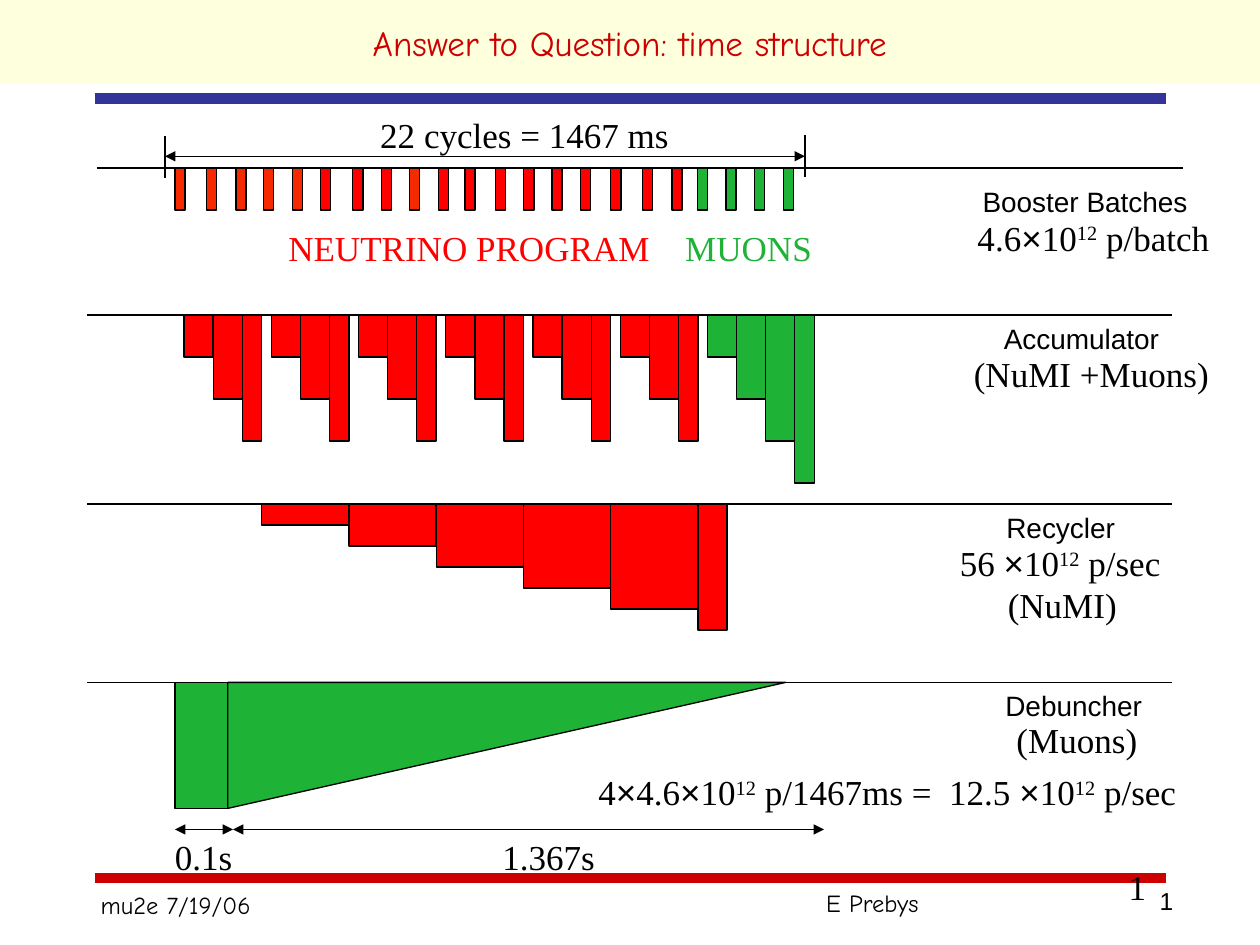
import pptx
import pptx.util
import pptx.dml.color
import pptx.enum.shapes
import pptx.enum.text
import pptx.oxml.ns
from lxml import etree

Pt = pptx.util.Pt
SHAPE = pptx.enum.shapes.MSO_SHAPE
ALIGN = pptx.enum.text.PP_ALIGN
ANCHOR = pptx.enum.text.MSO_ANCHOR
AUTO = pptx.enum.text.MSO_AUTO_SIZE

COLORS = {"black": "000000", "title": "CC0000", "band": "FEFFDD", "blue": "333399",
          "orange": "F52A01", "red": "FF0000", "green": "1EB237"}
COMIC, SERIF, SANS = "Comic Neue", "Times New Roman", "Arial"

TITLE = "Answer to Question: time structure"

# Text, left, top, width, height, size, font, colour; ^ encloses a superscript
LABELS = [
    ("mu2e 7/19/06", 50.4, 505, 100, 24.5, 14, COMIC, "black"),
    ("E Prebys", 465, 504, 199.4, 24.5, 14, COMIC, "black"),
    ("1", 637.9, 491, 98, 31.7, 20, SERIF, "black"),
    ("Booster Batches", 554.4, 102.2, 131, 26.6, 16, SANS, "black"),
    ("4.6×10^12^ p/batch", 551.5, 120.2, 151.2, 31.7, 20, SERIF, "black"),
    ("Accumulator", 566.6, 180, 103, 26.6, 16, SANS, "black"),
    ("(NuMI +Muons)", 549.4, 198, 148.3, 31.7, 20, SERIF, "black"),
    ("Recycler", 568, 288, 76.3, 26.6, 16, SANS, "black"),
    ("56 ×10^12^ p/sec", 541.4, 306, 133.2, 31.7, 20, SERIF, "black"),
    ("(NuMI)", 568.8, 329.8, 76.3, 31.7, 20, SERIF, "black"),
    ("Debuncher", 567.4, 390.2, 92.2, 26.6, 16, SANS, "black"),
    ("(Muons)", 573.8, 406.8, 83.5, 31.7, 20, SERIF, "black"),
    ("4×4.6×10^12^ p/1467ms =  12.5 ×10^12^ p/sec",
     334.8, 437, 357, 31.7, 20, SERIF, "black"),
    ("22 cycles = 1467 ms", 210.2, 61.2, 179.3, 31.7, 20, SERIF, "black"),
    ("NEUTRINO PROGRAM", 157.7, 126, 221, 31.7, 20, SERIF, "red"),
    ("MUONS", 384.5, 126, 86.4, 31.7, 20, SERIF, "green"),
    ("0.1s", 92.9, 473.8, 46.8, 31.7, 20, SERIF, "black"),
    ("1.367s", 280, 473.8, 67, 31.7, 20, SERIF, "black"),
]
PAGE_NUMBER = ("1", 509.8, 502.6, 167.8, 37.4, 14, SANS, "black")

# x1, y1, x2, y2, colour, width
RULES = [(54, 501.8, 666, 501.8, "title", 6), (54, 56.2, 666, 56.2, "blue", 6)]
BOOSTER, ACCUMULATOR, RECYCLER, DEBUNCHER = 96, 180, 288, 390
AXES = [(55.4, BOOSTER, 676), (49.7, ACCUMULATOR, 670),
        (49.7, RECYCLER, 670), (49.7, DEBUNCHER, 670)]
CYCLE_ENDS = [(94.3, 77.8), (460, 77)]
ARROWS = [(94.3, 89.3, 460), (133.2, 474, 470.9), (100, 474, 133.2)]

BATCHES = {
    "orange": [100, 118, 134.8, 150.6, 167, 234],
    "red": [183, 201.6, 218, 250.5, 265.7, 283, 299.3, 315.4, 331.8, 349, 367, 384],
    "green": [398.7, 414.8, 431.2, 447.8],
}
BATCH_W, BATCH_H = 5.8, 24
STEP, LAST_STEP = 16.62, 11.1     # widths of stacked batches in the accumulator
FILL_W = 3 * STEP                 # one accumulator load
STACK_LEFT, RED_LOADS = 105.2, 6


def rgb(name):
    return pptx.dml.color.RGBColor.from_string(COLORS[name])


def add_line(s, x1, y1, x2, y2, color="black", width=0.75):
    c = s.shapes.add_connector(pptx.enum.shapes.MSO_CONNECTOR.STRAIGHT,
                               Pt(x1), Pt(y1), Pt(x2), Pt(y2))
    c.line.color.rgb = rgb(color)
    c.line.width = Pt(width)
    etree.SubElement(c._element.spPr, pptx.oxml.ns.qn("a:effectLst"))
    return c


def add_arrow(s, x1, y, x2):
    """Add a hairline with a head at both ends."""
    ln = add_line(s, x1, y, x2, y).line._get_or_add_ln()
    ln.set("w", "0")
    for end in ("a:headEnd", "a:tailEnd"):
        etree.SubElement(ln, pptx.oxml.ns.qn(end), type="triangle")


def add_block(s, x, y, w, h, color, kind=SHAPE.RECTANGLE):
    sp = s.shapes.add_shape(kind, Pt(x), Pt(y), Pt(w), Pt(h))
    sp.shadow.inherit = False
    sp.fill.solid()
    sp.fill.fore_color.rgb = rgb(color)
    sp.line.color.rgb = rgb("black")
    sp.line.width = Pt(0.75)
    return sp


def add_run(p, text, size, font, color, raised=False):
    r = p.add_run()
    r.text = text
    for key, value in {"size": Pt(size), "name": font, "bold": False}.items():
        setattr(r.font, key, value)
    r.font.color.rgb = rgb(color)
    if raised:
        r._r.get_or_add_rPr().set("baseline", "30000")


def add_label(s, text, x, y, w, h, size, font, color):
    """Add a text box; times signs are always set in the sans font."""
    tf = s.shapes.add_textbox(Pt(x), Pt(y), Pt(w), Pt(h)).text_frame
    # Without a right inset the line has room to spare
    for key, value in {"word_wrap": True, "auto_size": AUTO.NONE,
                       "margin_right": 0}.items():
        setattr(tf, key, value)
    p = tf.paragraphs[0]
    for i, part in enumerate(text.split("^")):
        for j, piece in enumerate(part.split("×")):
            if j:
                add_run(p, "×", size, SANS, color)
            if piece:
                add_run(p, piece, size, font, color, raised=i % 2 == 1)
    return tf


def add_title(s):
    sp = s.shapes.title
    box = {"left": Pt(0), "top": Pt(0), "width": Pt(720), "height": Pt(48)}
    for key, value in box.items():
        setattr(sp, key, value)
    sp.fill.solid()
    sp.fill.fore_color.rgb = rgb("band")
    tf = sp.text_frame
    tf.vertical_anchor = ANCHOR.MIDDLE
    tf.paragraphs[0].alignment = ALIGN.CENTER
    add_run(tf.paragraphs[0], TITLE, 20, COMIC, "title")


def add_stack(s, x, steps, color):
    for i in range(steps):
        width = LAST_STEP if i == steps - 1 else STEP
        add_block(s, x + i * STEP, ACCUMULATOR, width, BATCH_H * (i + 1), color)


def add_timeline(s):
    for x1, y, x2 in AXES:
        add_line(s, x1, y, x2, y)
    for color, lefts in BATCHES.items():
        for x in lefts:
            add_block(s, x, BOOSTER, BATCH_W, BATCH_H, color)

    for load in range(RED_LOADS):
        add_stack(s, STACK_LEFT + load * FILL_W, 3, "red")
    add_stack(s, STACK_LEFT + RED_LOADS * FILL_W, 4, "green")

    recycler_left = STACK_LEFT + 2 * STEP + LAST_STEP
    for load in range(RED_LOADS):
        width = STEP if load == RED_LOADS - 1 else FILL_W
        add_block(s, recycler_left + load * FILL_W, RECYCLER, width,
                  BATCH_H / 2 * (load + 1), "red")

    add_block(s, 100, DEBUNCHER, 30.2, 72, "green")
    decay = add_block(s, 130.2, DEBUNCHER, 318.8, 72, "green", SHAPE.RIGHT_TRIANGLE)
    decay._element.spPr.xfrm.set("flipV", "1")

    for x, y in CYCLE_ENDS:
        add_line(s, x, y, x, y + 24)
    for arrow in ARROWS:
        add_arrow(s, *arrow)


def main():
    prs = pptx.Presentation()
    prs.slide_width, prs.slide_height = Pt(720), Pt(540)
    s = prs.slides.add_slide(prs.slide_layouts[5])
    add_title(s)
    for rule in RULES:
        add_line(s, *rule)
    add_timeline(s)
    for label in LABELS:
        add_label(s, *label)
    tf = add_label(s, *PAGE_NUMBER)
    tf.margin_right = Pt(7.2)
    tf.paragraphs[0].alignment = ALIGN.RIGHT
    prs.save("out.pptx")


if __name__ == "__main__":
    main()
